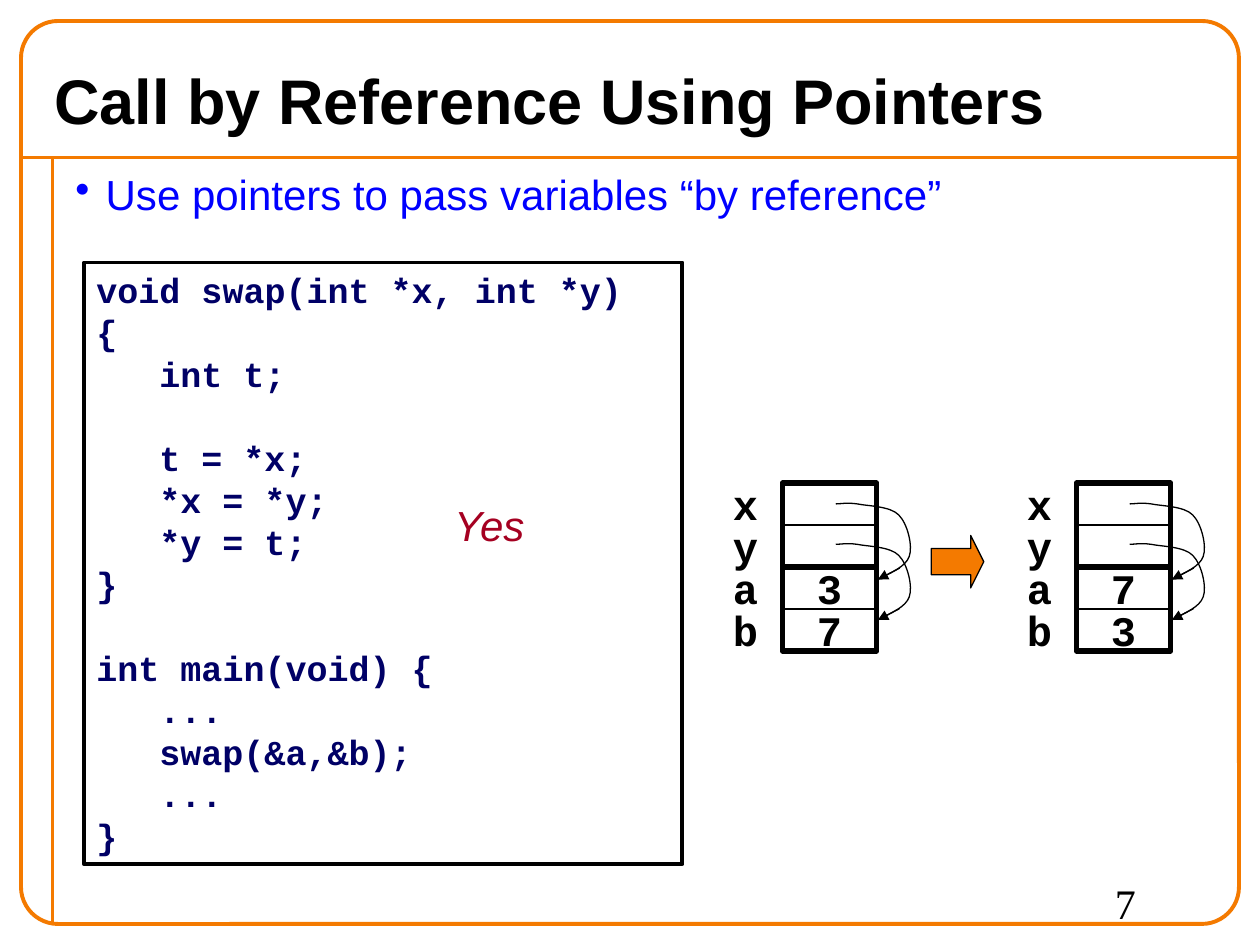
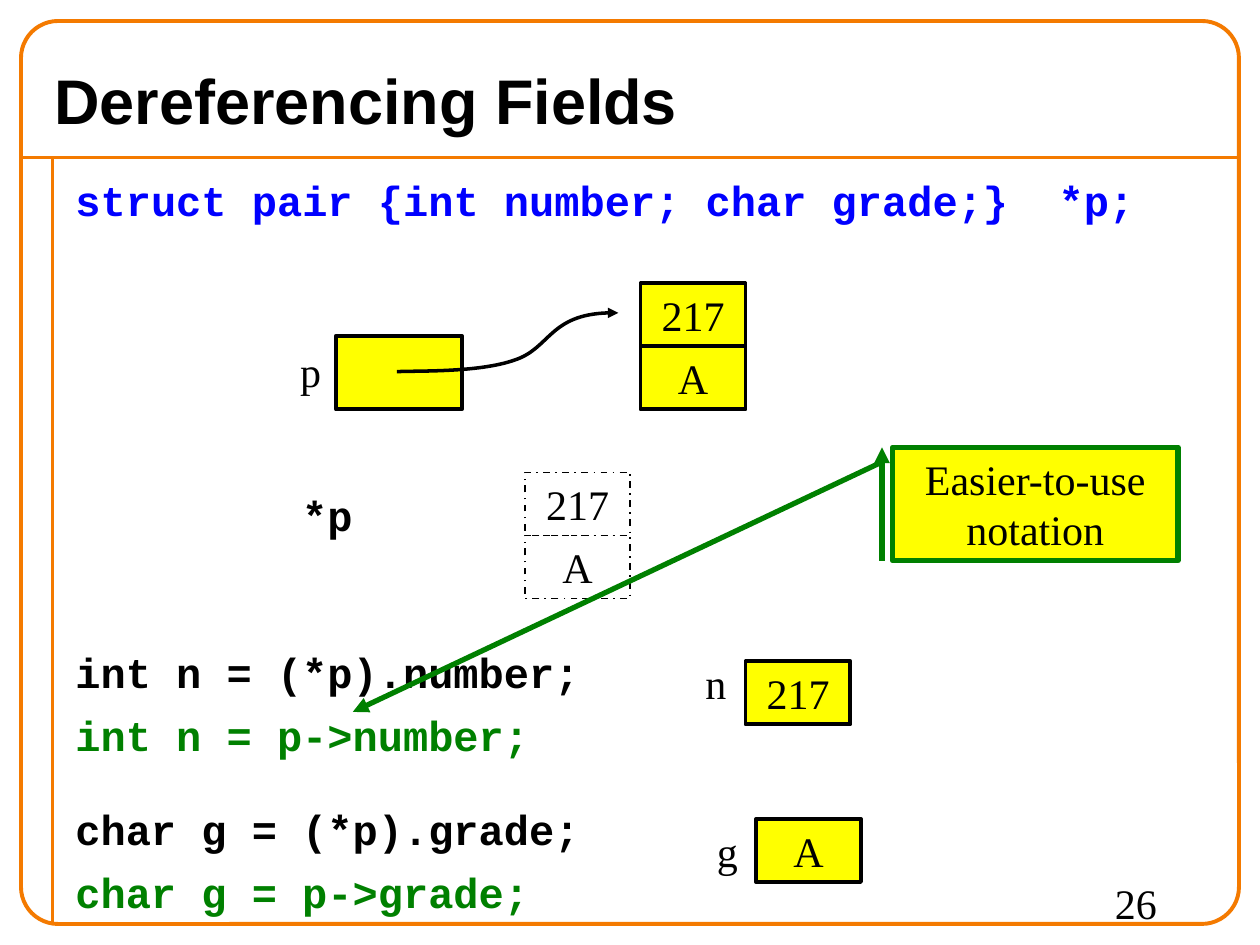
import pptx
import pptx.dml.color
import pptx.enum.dml
import pptx.enum.shapes
import pptx.enum.text
import pptx.oxml.ns
import pptx.util
from dataclasses import dataclass
from lxml import etree
from typing import NamedTuple

RGBColor = pptx.dml.color.RGBColor
Pt = pptx.util.Pt
SHAPE = pptx.enum.shapes.MSO_SHAPE
ALIGN = pptx.enum.text.PP_ALIGN
ANCHOR = pptx.enum.text.MSO_ANCHOR
DASH = pptx.enum.dml.MSO_LINE
qn = pptx.oxml.ns.qn

ORANGE = RGBColor(0xF4, 0x7A, 0x00)
BLACK = RGBColor(0x00, 0x00, 0x00)
BLUE = RGBColor(0x00, 0x00, 0xFF)
NAVY = RGBColor(0x00, 0x00, 0x66)
RED = RGBColor(0xA5, 0x00, 0x21)
GREEN = RGBColor(0x00, 0x80, 0x00)
YELLOW = RGBColor(0xFF, 0xFF, 0x00)

SANS, MONO, SERIF = "Arial", "Courier New", "Times New Roman"

# Grid: 120 columns by 90 rows of square units
SLIDE_W, SLIDE_H = pptx.util.Inches(10), pptx.util.Inches(7.5)
UNIT = SLIDE_W // 120


class Area(NamedTuple):
    col: float
    row: float
    cols: float
    rows: float


class Line(NamedTuple):
    text: str
    indent: float = 0
    before: float = 0


@dataclass
class Memory:
    """The stack cells of a program at one moment."""
    col: float
    a: str
    b: str


@dataclass
class Cell:
    area: Area
    text: str = ""
    dashed: bool = False


def grid(*values: float) -> list[int]:
    return [round(v * UNIT) for v in values]


# Text
def write(sp, lines, *, font=SERIF, size=24, color=BLACK, bold=False, italic=False,
          align=ALIGN.LEFT, anchor=ANCHOR.TOP, wrap=True, spacing=None):
    tf = sp.text_frame
    tf.word_wrap = wrap
    tf.vertical_anchor = anchor
    lines = [Line(lines)] if isinstance(lines, str) else lines
    for i, line in enumerate(lines):
        p = tf.paragraphs[0] if i == 0 else tf.add_paragraph()
        p.alignment = align
        p.space_before = Pt(line.before)
        if spacing:
            p.line_spacing = spacing
        if line.indent:
            p._p.get_or_add_pPr().set("marL", str(Pt(line.indent)))
        r = p.add_run()
        r.text = line.text
        r.font.name, r.font.size = font, Pt(size)
        r.font.bold, r.font.italic = bold, italic
        r.font.color.rgb = color
    return sp


def add_text(slide, area: Area, lines, **fmt):
    return write(slide.shapes.add_textbox(*grid(*area)), lines, **fmt)


# Shapes and lines
def add_box(slide, area: Area, kind=SHAPE.RECTANGLE, fill=None, color=BLACK, width=2.25):
    sp = slide.shapes.add_shape(kind, *grid(*area))
    sp.shadow.inherit = False
    if fill is None:
        sp.fill.background()
    else:
        sp.fill.solid()
        sp.fill.fore_color.rgb = fill
    sp.line.color.rgb, sp.line.width = color, Pt(width)
    return sp


def add_arrowhead(sp):
    etree.SubElement(sp.line._get_or_add_ln(), qn("a:tailEnd"), type="triangle")


def add_line(slide, start, end, color=BLACK, width=0.75, arrow=False):
    cx = slide.shapes.add_connector(pptx.enum.shapes.MSO_CONNECTOR.STRAIGHT,
                                    *grid(*start, *end))
    cx.line.color.rgb, cx.line.width = color, Pt(width)
    if arrow:
        add_arrowhead(cx)
    etree.SubElement(cx._element.spPr, qn("a:effectLst"))


def add_curve(slide, points, width, arrow=False):
    """Draw Bezier segments: a start, then two controls and an end for each."""
    start, *rest = [grid(*pt) for pt in points]
    builder = slide.shapes.build_freeform(*start)
    builder.add_line_segments(rest, close=False)
    sp = builder.convert_to_shape()
    sp.shadow.inherit = False
    sp.fill.background()
    sp.line.color.rgb, sp.line.width = BLACK, Pt(width)
    # Join each three straight steps into one cubic segment
    steps = list(sp._element.iter(qn("a:lnTo")))
    for first, second, third in zip(steps[::3], steps[1::3], steps[2::3]):
        first.tag = qn("a:cubicBezTo")
        for step in (second, third):
            first.append(step[0])
            step.getparent().remove(step)
    if arrow:
        add_arrowhead(sp)


# Frame, title and number shared by the slides
def add_slide(prs, title: str, number: int):
    slide = prs.slides.add_slide(prs.slide_layouts[6])
    add_line(slide, (2, 15), (118, 15), ORANGE, 2.25)
    add_line(slide, (5, 15), (5, 88), ORANGE, 2.25)
    frame = add_box(slide, Area(2, 2, 116, 86), SHAPE.ROUNDED_RECTANGLE, color=ORANGE)
    frame.adjustments[0] = 0.041
    add_text(slide, Area(4, 5, 112, 9), title, font=SANS, size=36, bold=True,
             anchor=ANCHOR.MIDDLE)
    add_text(slide, Area(105, 83, 12, 6), str(number))
    return slide


# Slide 1: memory before and after the swap
MEMORY_ROW, CELL_W, CELL_H = 46, 9, 4
POINTER = [(5.1, 2), (5.6, 2), (6.1, 1.85), (7.15, 2), (8.1, 2.2), (10.3, 2.2),
           (11.1, 3.05), (11.95, 3.9), (12.45, 6.05), (12.1, 7), (11.75, 8),
           (10.4, 8.5), (9.1, 9.2)]
POINTER_STEP = 3.85


def add_memory(slide, memory: Memory):
    mono = dict(font=MONO, bold=True, align=ALIGN.CENTER, wrap=False)
    for i, (name, value) in enumerate(zip("xyab", ("", "", memory.a, memory.b))):
        row = MEMORY_ROW + i * CELL_H
        sp = add_box(slide, Area(memory.col, row, CELL_W, CELL_H), width=0.75)
        if value:
            write(sp, value, anchor=ANCHOR.MIDDLE, **mono)
        add_text(slide, Area(memory.col - 5.9, row - 1, 4.8, 6), name, **mono)
    for i in range(2):
        add_box(slide, Area(memory.col, MEMORY_ROW + 2 * i * CELL_H, CELL_W, 2 * CELL_H),
                width=3)
        top = MEMORY_ROW + i * POINTER_STEP
        curve = [(memory.col + x, top + y) for x, y in POINTER]
        add_curve(slide, curve, 0.75)
        tip_x, tip_y = curve[-1]
        add_line(slide, (tip_x + 2.1, tip_y - 1.1), (tip_x, tip_y), arrow=True)


def build_swap_slide(prs):
    slide = add_slide(prs, "Call by Reference Using Pointers", 7)
    sp = add_text(slide, Area(6, 16, 111, 6),
                  [Line("Use pointers to pass variables “by reference”", 17.3)],
                  font=SANS, color=BLUE, spacing=0.9)
    pPr = sp.text_frame.paragraphs[0]._p.pPr
    pPr.set("indent", str(-Pt(17.3)))
    etree.SubElement(pPr, qn("a:buChar"), char="•")

    body, blank = 36, 24
    code = [Line("void swap(int *x, int *y)"), Line("{"), Line("int t;", body),
            Line("t = *x;", body, blank), Line("*x = *y;", body), Line("*y = t;", body),
            Line("}"), Line("int main(void) {", 0, blank), Line("...", body),
            Line("swap(&a,&b);", body), Line("...", body), Line("}")]
    write(add_box(slide, Area(8, 25, 57, 57.3)), code, font=MONO, size=20, color=NAVY,
          bold=True, spacing=Pt(24))
    add_text(slide, Area(42, 47, 9.2, 6), "Yes", font=SANS, color=RED, italic=True,
             align=ALIGN.CENTER, wrap=False)

    for memory in (Memory(74.5, "3", "7"), Memory(102.5, "7", "3")):
        add_memory(slide, memory)
    arrow = add_box(slide, Area(88.7, 51, 5, 5), SHAPE.RIGHT_ARROW, ORANGE, width=0.75)
    arrow.adjustments[0], arrow.adjustments[1] = 0.5, 0.25


# Slide 2: a pointer to a structure
def add_cell(slide, cell: Cell):
    if cell.dashed:
        sp = add_box(slide, cell.area, width=1)
        sp.line.dash_style = DASH.DASH_DOT
    else:
        sp = add_box(slide, cell.area, fill=YELLOW)
    if cell.text:
        write(sp, cell.text, align=ALIGN.CENTER, anchor=ANCHOR.MIDDLE, wrap=False)


def build_fields_slide(prs):
    slide = add_slide(prs, "Dereferencing Fields", 26)
    code = dict(font=MONO, bold=True)
    add_text(slide, Area(6, 16, 111, 6), "struct pair {int number; char grade;}  *p;",
             color=BLUE, **code)
    add_text(slide, Area(27.6, 46, 12, 6), "*p", **code)

    value_w, value_h = 10, 6
    for cell in (Cell(Area(61, 27, value_w, value_h), "217"),
                 Cell(Area(61, 33, value_w, value_h), "A"),
                 Cell(Area(32, 32, 12, 7)),
                 Cell(Area(50, 45, value_w, value_h), "217", dashed=True),
                 Cell(Area(50, 51, value_w, value_h), "A", dashed=True),
                 Cell(Area(71, 63, value_w, value_h), "217"),
                 Cell(Area(72, 78, value_w, value_h), "A")):
        add_cell(slide, cell)
    for name, col, row in (("p", 27.4, 32.3), ("n", 66, 62), ("g", 67.1, 78)):
        add_text(slide, Area(col, row, 4.3, 6), name, wrap=False)
    add_curve(slide, [(37.8, 35.4), (39.7, 35.3), (45.6, 35.5), (49, 34.3),
                      (52.4, 33.2), (52.3, 29.6), (58.9, 29.8)], 2, arrow=True)

    # Each statement, then its shorter form below
    for row, color, access in ((61, BLACK, "(*p)."), (67, GREEN, "p->")):
        add_text(slide, Area(6, row, 60, 20),
                 [Line(f"int n = {access}number;"),
                  Line(f"char g = {access}grade;", before=61)], color=color, **code)

    # Callout with its bar and leader
    callout = add_box(slide, Area(85, 42.6, 27.2, 10.8), fill=YELLOW, color=GREEN, width=3)
    write(callout, [Line("Easier-to-use"), Line("notation")], align=ALIGN.CENTER)
    add_line(slide, (84, 44), (33.6, 67.8), GREEN, 3, arrow=True)
    add_line(slide, (84, 53.4), (84, 42.6), GREEN, 3, arrow=True)


def main():
    prs = pptx.Presentation()
    prs.slide_width, prs.slide_height = SLIDE_W, SLIDE_H
    build_swap_slide(prs)
    build_fields_slide(prs)
    prs.save("out.pptx")


if __name__ == "__main__":
    main()
